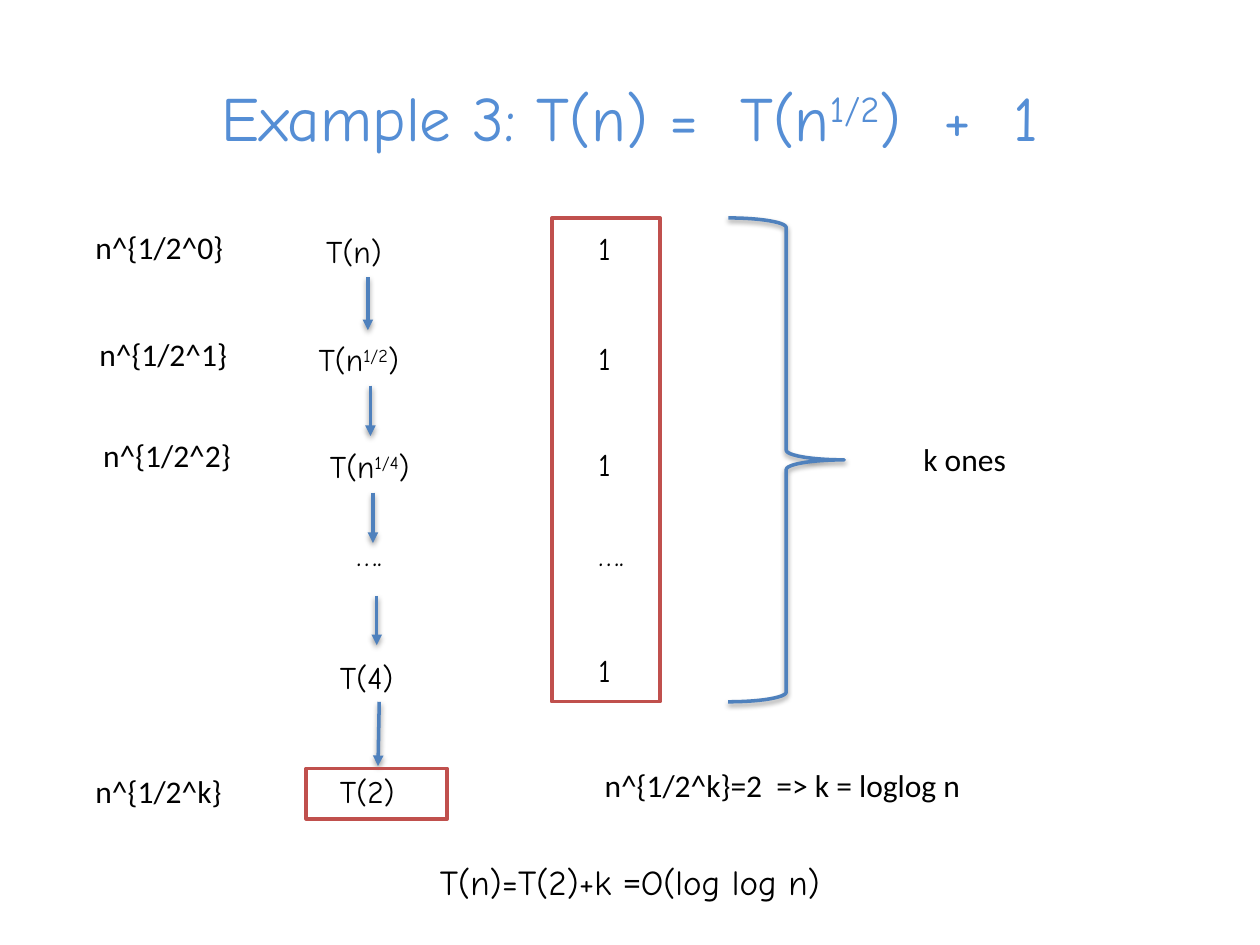
import pptx
import pptx.dml.color
import pptx.enum.shapes
import pptx.enum.text
import pptx.oxml
import pptx.oxml.ns
import pptx.util

Inches = pptx.util.Inches
RGBColor = pptx.dml.color.RGBColor
Shape = pptx.enum.shapes.MSO_SHAPE

TITLE_BLUE = RGBColor(0x55, 0x8E, 0xD5)
LINE_BLUE = RGBColor(0x4F, 0x81, 0xBD)
FRAME_RED = RGBColor(0xC0, 0x50, 0x4D)
BLACK = RGBColor(0, 0, 0)
HAND = "Comic Neue"
PLAIN = "Calibri"
ROW_HEIGHT = 0.4

SHADOW = (
    f"<a:effectLst {pptx.oxml.ns.nsdecls('a')}>"
    '<a:outerShdw blurRad="40000" dist="20000" dir="5400000" rotWithShape="0">'
    '<a:srgbClr val="000000"><a:alpha val="38000"/></a:srgbClr>'
    "</a:outerShdw></a:effectLst>"
)
ARROWHEAD = f'<a:tailEnd {pptx.oxml.ns.nsdecls("a")} type="triangle"/>'

CALLS = [
    (2.49, 1.79, ["T(n)"]),
    (2.43, 2.65, ["T(n", "1/2", ")"]),
    (2.52, 3.5, ["T(n", "1/4", ")"]),
    (2.73, 4.2, ["…."]),
    (2.6, 5.17, ["T(4)"]),
    (2.6, 6.08, ["T(2)"]),
]
COSTS = [(1.77, "1"), (2.64, "1"), (3.48, "1"), (4.2, "…."), (5.12, "1")]
ARROWS = [
    (2.92, 2.2, 2.92, 2.62),
    (2.94, 3.06, 2.94, 3.46),
    (2.96, 3.91, 2.96, 4.31),
    (2.99, 4.73, 2.99, 5.12),
    (3.01, 5.57, 3, 6.08),
]
NOTES = [
    (0.66, 1.76, 1.83, "n^{1/2^0}"),
    (0.69, 2.61, 1.83, "n^{1/2^1}"),
    (0.72, 3.41, 1.83, "n^{1/2^2}"),
    (0.66, 6.08, 1.83, "n^{1/2^k}"),
    (7.23, 3.44, 1.83, "k ones"),
    (4.7, 6.03, 3.53, "n^{1/2^k}=2  => k = loglog n"),
]


def add_text(page, left, top, width, height, pieces, font=HAND, size=18, color=BLACK):
    box = page.shapes.add_textbox(
        Inches(left), Inches(top), Inches(width), Inches(height)
    )
    box.text_frame.word_wrap = True
    para = box.text_frame.paragraphs[0]
    para.font.name = font
    para.font.size = pptx.util.Pt(size)
    para.font.color.rgb = color
    for piece in pieces:
        para.add_run().text = piece
    return box


def raise_exponent(box):
    spans = box.text_frame.paragraphs[0].runs
    for span in spans[1::2]:
        span._r.get_or_add_rPr().set("baseline", "30000")


def center(box):
    box.text_frame.vertical_anchor = pptx.enum.text.MSO_ANCHOR.MIDDLE
    box.text_frame.paragraphs[0].alignment = pptx.enum.text.PP_ALIGN.CENTER


def add_outline(page, kind, left, top, width, height, color):
    shape = page.shapes.add_shape(
        kind, Inches(left), Inches(top), Inches(width), Inches(height)
    )
    shape.shadow.inherit = False
    shape.fill.background()
    shape.line.color.rgb = color
    shape.line.width = pptx.util.Pt(2)
    return shape


def add_shadow(shape):
    properties = shape._element.spPr
    for effects in properties.findall(pptx.oxml.ns.qn("a:effectLst")):
        properties.remove(effects)
    properties.append(pptx.oxml.parse_xml(SHADOW))


def add_arrow(page, *ends):
    arrow = page.shapes.add_connector(
        pptx.enum.shapes.MSO_CONNECTOR.STRAIGHT, *map(Inches, ends)
    )
    arrow.line.color.rgb = LINE_BLUE
    arrow.line.width = pptx.util.Pt(2)
    arrow.line._get_or_add_ln().append(pptx.oxml.parse_xml(ARROWHEAD))
    add_shadow(arrow)


def main():
    deck = pptx.Presentation()
    deck.slide_width = Inches(10)
    deck.slide_height = Inches(7.5)
    page = deck.slides.add_slide(deck.slide_layouts[6])

    title = add_text(
        page, 0.5, 0.57, 9, 0.71,
        ["Example 3: T(n) =  T(n", "1/2", ")  +  1"],
        size=36, color=TITLE_BLUE,
    )
    center(title)
    raise_exponent(title)

    for left, top, pieces in CALLS:
        raise_exponent(add_text(page, left, top, 1.06, ROW_HEIGHT, pieces))
    for top, cost in COSTS:
        add_text(page, 4.65, top, 0.85, ROW_HEIGHT, [cost])
    for ends in ARROWS:
        add_arrow(page, *ends)

    add_outline(page, Shape.RECTANGLE, 4.38, 1.73, 0.86, 3.84, FRAME_RED)
    add_outline(page, Shape.RECTANGLE, 2.43, 6.1, 1.12, ROW_HEIGHT, FRAME_RED)
    brace = add_outline(page, Shape.RIGHT_BRACE, 5.78, 1.73, 0.92, 3.84, LINE_BLUE)
    add_shadow(brace)

    for left, top, width, note in NOTES:
        add_text(page, left, top, width, ROW_HEIGHT, [note], font=PLAIN)

    result = add_text(
        page, 1.51, 6.78, 6.98, 0.44, ["T(n)=T(2)+k ", "=", "O(log log n)"], size=20
    )
    center(result)
    result.text_frame.paragraphs[0].runs[1].font.name = PLAIN

    deck.save("out.pptx")


if __name__ == "__main__":
    main()
